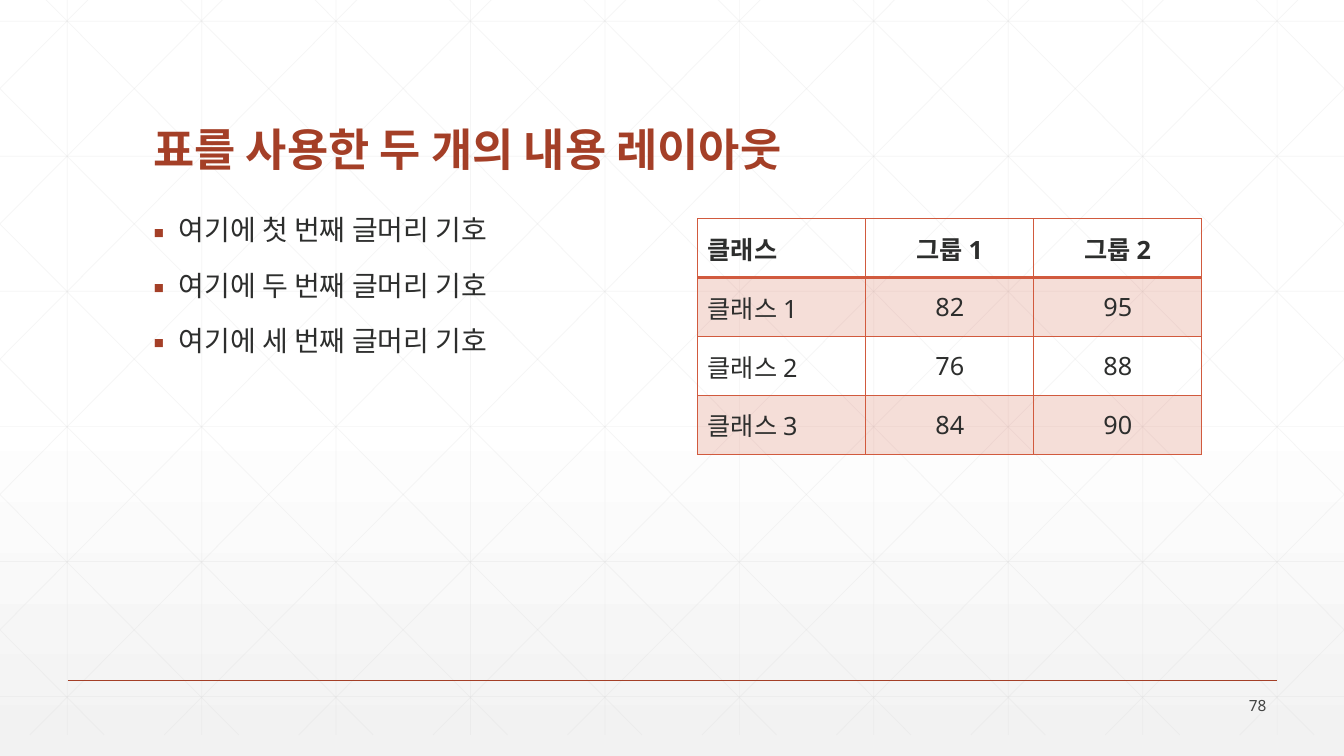
"""Build a slide with a bullet list beside a small class score table."""
from lxml import etree
from pptx import Presentation
from pptx import util as u
from pptx.dml.color import RGBColor
from pptx.enum import shapes, text
from pptx.oxml.ns import qn

COLORS = {
    "white": "FFFFFF", "mist": "F2F2F2", "grid": "D9D9D9", "rust": "A43F27",
    "coral": "D15A3E", "ink": "2D2E2D", "number": "424342",
}
FONT = "sans-serif"
WIDTH, HEIGHT = 13.33, 7.5
TOP, BOTTOM = -0.21, 7.29
STEP, RUN = 4 / 3, 7.45


def write(para, words, size=18, color="ink", bold=False, align=text.PP_ALIGN.LEFT):
    para.alignment = align
    span = para.add_run()
    span.text = words
    span.font.size = u.Pt(size)
    span.font.bold = bold
    span.font.color.rgb = RGBColor.from_string(COLORS[color])
    span.font.name = FONT
    etree.SubElement(span.font._element, qn("a:ea"), typeface=FONT)


def draw_line(parent, start, end, color, width, opacity=100):
    ends = [u.Inches(value) for value in (*start, *end)]
    line = parent.add_connector(shapes.MSO_CONNECTOR.STRAIGHT, *ends)
    line.line.color.rgb = RGBColor.from_string(COLORS[color])
    line.line.width = u.Pt(width)
    properties = line.element.spPr
    shade = properties.find(".//" + qn("a:srgbClr"))
    etree.SubElement(shade, qn("a:alpha"), val=str(opacity * 1000))
    etree.SubElement(properties, qn("a:effectLst"))


deck = Presentation()
deck.slide_width, deck.slide_height = u.Inches(WIDTH), u.Inches(HEIGHT)
page = deck.slides.add_slide(deck.slide_layouts[1])

backdrop = page.background.fill
backdrop.gradient()
backdrop.gradient_angle = 270
for stop, position, color in zip(backdrop.gradient_stops, (0.53, 1), ("white", "mist")):
    stop.position = position
    stop.color.rgb = RGBColor.from_string(COLORS[color])

grid = page.shapes.add_group_shape()
grid_lines = []
for column in range(10):
    x = (column + 0.5) * STEP
    grid_lines.append(((x, TOP), (x, BOTTOM)))
for row in range(6):
    y = 0.21 + row * 1.34
    grid_lines.append(((0, y), (WIDTH, y)))
for index in range(-5, 10):
    x = 0.25 + index * STEP
    left, right = max(0, x), min(WIDTH, x + RUN)
    high, low = (TOP + (edge - x) * (BOTTOM - TOP) / RUN for edge in (left, right))
    grid_lines.append(((left, high), (right, low)))
    grid_lines.append(((WIDTH - left, high), (WIDTH - right, low)))
for start, end in grid_lines:
    draw_line(grid.shapes, start, end, "grid", 0.5, 25)
page.shapes.title.element.addprevious(grid.element)
draw_line(page.shapes, (0.67, 6.75), (12.67, 6.75), "rust", 1)

title, body = page.shapes.title, page.placeholders[1]
number = page.shapes.add_textbox(0, 0, 0, 0)
for box, place, anchor in (
    (title, (1.42, 0.55, 10.5, 1.25), text.MSO_ANCHOR.BOTTOM),
    (body, (1.42, 2.1, 5, 4.17), text.MSO_ANCHOR.TOP),
    (number, (11.66, 6.88, 1, 0.24), text.MSO_ANCHOR.MIDDLE),
):
    box.left, box.top, box.width, box.height = map(u.Inches, place)
    box.text_frame.vertical_anchor = anchor
    box.text_frame.word_wrap = True
    box.text_frame.auto_size = text.MSO_AUTO_SIZE.NONE

heading = title.text_frame.paragraphs[0]
heading.line_spacing = 0.9
write(heading, "표를 사용한 두 개의 내용 레이아웃", size=32, color="rust", bold=True)
write(number.text_frame.paragraphs[0], "78", size=11, color="number",
      align=text.PP_ALIGN.RIGHT)

for index, ordinal in enumerate(("첫", "두", "세")):
    frame = body.text_frame
    para = frame.add_paragraph() if index else frame.paragraphs[0]
    para.line_spacing, para.space_before = 0.9, u.Pt(18)
    write(para, f"여기에 {ordinal} 번째 글머리 기호", size=20)
    settings = para._p.get_or_add_pPr()
    settings.set("marL", str(u.Inches(0.25)))
    settings.set("indent", str(u.Inches(-0.25)))
    bullet_color = etree.SubElement(settings, qn("a:buClr"))
    etree.SubElement(bullet_color, qn("a:srgbClr"), val=COLORS["rust"])
    etree.SubElement(settings, qn("a:buFont"), typeface=FONT)
    etree.SubElement(settings, qn("a:buChar"), char="▪")

scores = [
    ("클래스", "그룹 1", "그룹 2"),
    ("클래스 1", "82", "95"),
    ("클래스 2", "76", "88"),
    ("클래스 3", "84", "90"),
]
table_place = map(u.Inches, (6.92, 2.17, 5, 2.34))
table = page.shapes.add_table(len(scores), len(scores[0]), *table_place).table
for row, values in enumerate(scores):
    for column, value in enumerate(values):
        cell = table.cell(row, column)
        cell.vertical_anchor = text.MSO_ANCHOR.MIDDLE
        write(cell.text_frame.paragraphs[0], value, bold=row == 0,
              align=text.PP_ALIGN.CENTER if column else text.PP_ALIGN.LEFT)
        properties = cell._tc.get_or_add_tcPr()
        for side in "LRTB":
            thick = (row, side) in ((0, "B"), (1, "T"))
            border = etree.SubElement(properties, qn(f"a:ln{side}"),
                                      w=str(u.Pt(2 if thick else 1)))
            paint = etree.SubElement(border, qn("a:solidFill"))
            etree.SubElement(paint, qn("a:srgbClr"), val=COLORS["coral"])
        if row % 2:
            cell.fill.solid()
            cell.fill.fore_color.rgb = RGBColor.from_string(COLORS["coral"])
            shade = properties.find(qn("a:solidFill")).find(qn("a:srgbClr"))
            etree.SubElement(shade, qn("a:alpha"), val="20000")
        else:
            cell.fill.background()

deck.save("out.pptx")
